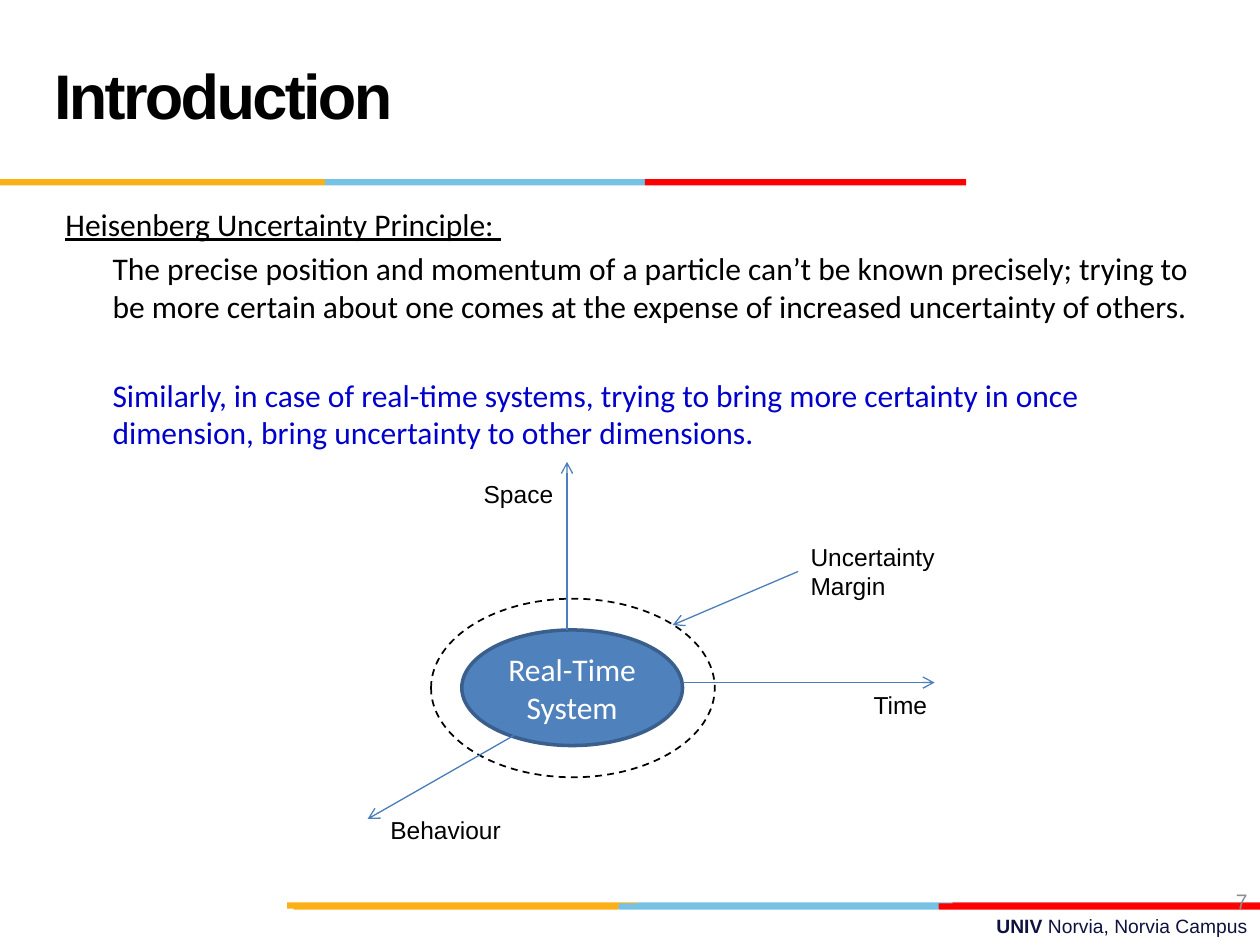
from itertools import pairwise

from lxml import etree
from pptx import Presentation
from pptx import util as u
from pptx.dml.color import RGBColor
from pptx.enum import dml, shapes, text
from pptx.oxml.ns import qn

BLACK, BLUE, ARROW = "000000", "0000CC", "4B7EBC"
AMBER, SKY, RED, DARK_RED = "FCB017", "76C2E5", "FF0000", "E31C24"


def rgb(value):
    return RGBColor.from_string(value)


class Deck:
    """Holds the fonts and the current slide."""

    head_font = "Arial"
    body_font = "Calibri"

    def __init__(self, prs):
        self.s = prs.slides.add_slide(prs.slide_layouts[6])

    def style(self, p, size, color=BLACK, font=None, align=None):
        f = p.font
        f.size, f.name = u.Pt(size), font or self.head_font
        f.color.rgb = rgb(color)
        p.alignment = align

    def text(self, box, lines, size, color=BLACK, font=None, align=None,
             anchor=text.MSO_ANCHOR.TOP, wrap=True):
        tf = self.s.shapes.add_textbox(*map(u.Cm, box)).text_frame
        tf.word_wrap, tf.vertical_anchor = wrap, anchor
        for i, line in enumerate(lines):
            p = tf.add_paragraph() if i else tf.paragraphs[0]
            p.add_run().text = line
            self.style(p, size, color, font, align)
        return tf

    def label(self, box, *lines):
        self.text(box, lines, 14, wrap=False)

    def shape(self, kind, box, fill=None, line=None, width=1, dash=None):
        sp = self.s.shapes.add_shape(kind, *map(u.Cm, box))
        sp.shadow.inherit = False
        if fill:
            sp.fill.solid()
            sp.fill.fore_color.rgb = rgb(fill)
        else:
            sp.fill.background()
        if line:
            sp.line.color.rgb = rgb(line)
            sp.line.width = u.Pt(width)
            sp.line.dash_style = dash
        else:
            sp.line.fill.background()
        return sp

    def stripe(self, top, edges, colors):
        """Draw touching bars between successive edges."""
        for (left, right), color in zip(pairwise(edges), colors):
            self.shape(shapes.MSO_SHAPE.RECTANGLE,
                       (left, top, right - left, 0.13), color)

    def arrow(self, *ends):
        c = self.s.shapes.add_connector(shapes.MSO_CONNECTOR.STRAIGHT, *map(u.Cm, ends))
        c.line.color.rgb = rgb(ARROW)
        c.line.width = u.Pt(0.75)
        etree.SubElement(c.line._get_or_add_ln(), qn("a:tailEnd"), type="arrow")
        etree.SubElement(c._element.spPr, qn("a:effectLst"))


def add_frame(deck):
    right, middle = text.PP_ALIGN.RIGHT, text.MSO_ANCHOR.MIDDLE
    tf = deck.text((9.09, 18.31, 16.31, 0.74), ["UNIV "], 11, "101141", align=right)
    p = tf.paragraphs[0]
    p.runs[0].font.bold = True
    p.add_run().text = "Norvia, Norvia Campus"

    deck.stripe(18.19, (5.79, 12.85, 19.2, 25.4), (AMBER, SKY, DARK_RED))
    deck.stripe(18.21, (5.92, 12.47, 18.92, 25.4), (AMBER, SKY, RED))
    deck.stripe(3.61, (0, 6.55, 13, 19.48), (AMBER, SKY, RED))

    tf = deck.text((0.84, 0.43, 17.58, 3.18), ["Introduction"], 36, anchor=middle)
    p = tf.paragraphs[0]
    p.font.bold = True
    p.line_spacing = u.Pt(36)
    p.runs[0].font._element.set("spc", "-150")

    deck.text((19.48, 17.65, 5.92, 1.02), ["7"], 12, "8C8C8C", align=right, anchor=middle)


def add_body(deck):
    tf = deck.text((1.07, 4.01, 23.7, 6.15), [
        "Heisenberg Uncertainty Principle: ",
        "The precise position and momentum of a particle can’t be known precisely; "
        "trying to be more certain about one comes at the expense of increased "
        "uncertainty of others.",
        "Similarly, in case of real-time systems, trying to bring more certainty in "
        "once dimension, bring uncertainty to other dimensions.",
    ], 18, font=deck.body_font)
    heading, principle, analogy = tf.paragraphs
    heading.font.underline = True
    analogy.font.color.rgb = rgb(BLUE)
    for p, gap in ((heading, 3.6), (principle, 3.6), (analogy, 29)):
        p.space_before = u.Pt(gap)
    for p in (principle, analogy):
        p._p.get_or_add_pPr().set("marL", str(u.Cm(0.95)))


def add_diagram(deck):
    oval = shapes.MSO_SHAPE.OVAL
    deck.shape(oval, (8.69, 12.07, 5.72, 3.6), line=BLACK,
               dash=dml.MSO_LINE.DASH)
    core = deck.shape(oval, (9.31, 12.7, 4.45, 2.33), "4F81BD", "3A5F8C", 2)
    tf = core.text_frame
    tf.word_wrap, tf.vertical_anchor = True, text.MSO_ANCHOR.MIDDLE
    p = tf.paragraphs[0]
    p.add_run().text = "Real-Time System"
    deck.style(p, 18, "FFFFFF", deck.body_font, text.PP_ALIGN.CENTER)

    deck.label((16.09, 10.8, 3.18, 1.45), "Uncertainty", "Margin")
    deck.arrow(16.09, 11.52, 13.56, 12.6)
    deck.arrow(11.43, 12.7, 11.43, 9.31)
    deck.arrow(13.76, 13.76, 18.84, 13.76)
    deck.arrow(10.37, 14.82, 7.41, 16.51)
    deck.label((17.36, 13.79, 1.6, 0.86), "Time")
    deck.label((7.62, 16.3, 2.75, 0.86), "Behaviour")
    deck.label((9.5, 9.53, 1.93, 0.86), "Space")


def main():
    prs = Presentation()
    prs.slide_width, prs.slide_height = u.Cm(25.4), u.Cm(19.05)
    deck = Deck(prs)
    add_frame(deck)
    add_body(deck)
    add_diagram(deck)
    prs.save("out.pptx")


if __name__ == "__main__":
    main()
